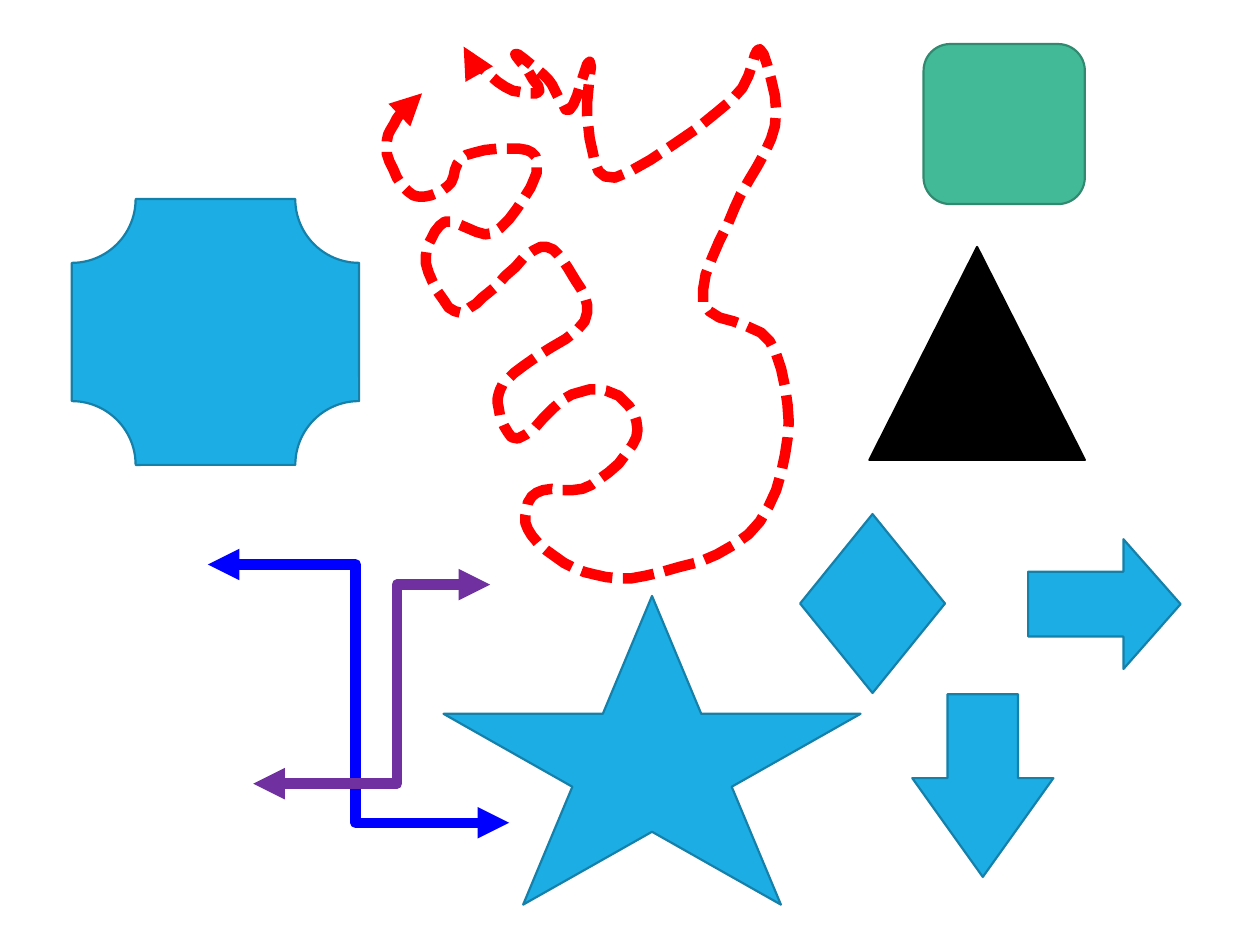
from lxml.etree import SubElement
from pptx import Presentation
from pptx.dml.color import RGBColor
from pptx.enum.dml import MSO_LINE
from pptx.enum.shapes import MSO_CONNECTOR, MSO_SHAPE
from pptx.oxml.ns import qn
from pptx.util import Pt

PX = 9144
STEPS = 6
RED = RGBColor(0xFF, 0x00, 0x00)
BLUE = RGBColor(0x00, 0x00, 0xFF)
PURPLE = RGBColor(0x70, 0x30, 0xA0)
GREEN = RGBColor(0x42, 0xBA, 0x97)
DARK_GREEN = RGBColor(0x31, 0x8A, 0x70)
BLACK = RGBColor(0x00, 0x00, 0x00)
SKY = RGBColor(0x1C, 0xAD, 0xE4)
DARK_SKY = RGBColor(0x15, 0x80, 0xA9)


def style_arrow(arrow, color):
    arrow.line.color.rgb = color
    arrow.line.width = Pt(6)
    line = arrow.line._get_or_add_ln()
    for end in ("a:headEnd", "a:tailEnd"):
        SubElement(line, qn(end), type="triangle")


def spline(before, start, end, after, t):
    return (
        2 * start
        + (end - before) * t
        + (2 * before - 5 * start + 4 * end - after) * t**2
        + (3 * start - before - 3 * end + after) * t**3
    ) / 2


presentation = Presentation()
presentation.slide_width = 1000 * PX
presentation.slide_height = 750 * PX
slide = presentation.slides.add_slide(presentation.slide_layouts[6])

SCRIBBLE = [
    (335, 74), (315, 94), (307, 122), (328, 155), (355, 148), (370, 123),
    (418, 119), (424, 142), (391, 185), (353, 176), (338, 209), (361, 247),
    (388, 232), (429, 196), (454, 218), (464, 255), (408, 296), (395, 320),
    (411, 348), (454, 313), (491, 314), (505, 347), (469, 385), (426, 391),
    (419, 420), (456, 451), (512, 457), (594, 424), (625, 348), (611, 271),
    (558, 240), (583, 165), (615, 100), (603, 39), (581, 79), (488, 141),
    (467, 101), (468, 49), (452, 87), (435, 63), (409, 43), (428, 72),
    (401, 69), (363, 36), (368, 37),
]
padded = [SCRIBBLE[0], *SCRIBBLE, SCRIBBLE[-1]]
curve = [
    tuple(spline(*axis, step / STEPS) for axis in zip(*corners))
    for corners in zip(padded, padded[1:], padded[2:], padded[3:])
    for step in range(1, STEPS + 1)
]
builder = slide.shapes.build_freeform(*SCRIBBLE[0], scale=PX)
builder.add_line_segments(curve, close=False)
scribble = builder.convert_to_shape()
scribble.shadow.inherit = False
scribble.fill.background()
scribble.line.dash_style = MSO_LINE.SQUARE_DOT
style_arrow(scribble, RED)

ELBOWS = [
    (165, 448, 404, 653, BLUE, 49100),
    (201, 622, 389, 464, PURPLE, 60700),
]
for *ends, color, bend in ELBOWS:
    elbow = slide.shapes.add_connector(MSO_CONNECTOR.ELBOW, *[end * PX for end in ends])
    style_arrow(elbow, color)
    properties = elbow._element.spPr
    guides = properties.find(qn("a:prstGeom")).get_or_add_avLst()
    SubElement(guides, qn("a:gd"), name="adj1", fmla=f"val {bend}")
    SubElement(properties, qn("a:effectLst"))

SHAPES = [
    (MSO_SHAPE.ROUNDED_RECTANGLE, 733, 35, 128, 127, GREEN, DARK_GREEN, []),
    (MSO_SHAPE.ISOSCELES_TRIANGLE, 690, 196, 171, 169, BLACK, BLACK, []),
    (MSO_SHAPE.RIGHT_ARROW, 816, 428, 121, 103, SKY, DARK_SKY, [0.5, 0.44]),
    (MSO_SHAPE.DOWN_ARROW, 724, 551, 112, 145, SKY, DARK_SKY, [0.5, 0.7]),
    (MSO_SHAPE.STAR_5_POINT, 352, 473, 331, 245, SKY, DARK_SKY, []),
    (MSO_SHAPE.DIAMOND, 635, 408, 115, 142, SKY, DARK_SKY, []),
    (MSO_SHAPE.PLAQUE, 57, 158, 228, 211, SKY, DARK_SKY, [0.24]),
]
for kind, left, top, width, height, fill, outline, adjustments in SHAPES:
    shape = slide.shapes.add_shape(kind, left * PX, top * PX, width * PX, height * PX)
    shape.shadow.inherit = False
    shape.fill.solid()
    shape.fill.fore_color.rgb = fill
    shape.line.color.rgb = outline
    shape.line.width = Pt(1.25)
    for index, value in enumerate(adjustments):
        shape.adjustments[index] = value

presentation.save("out.pptx")
